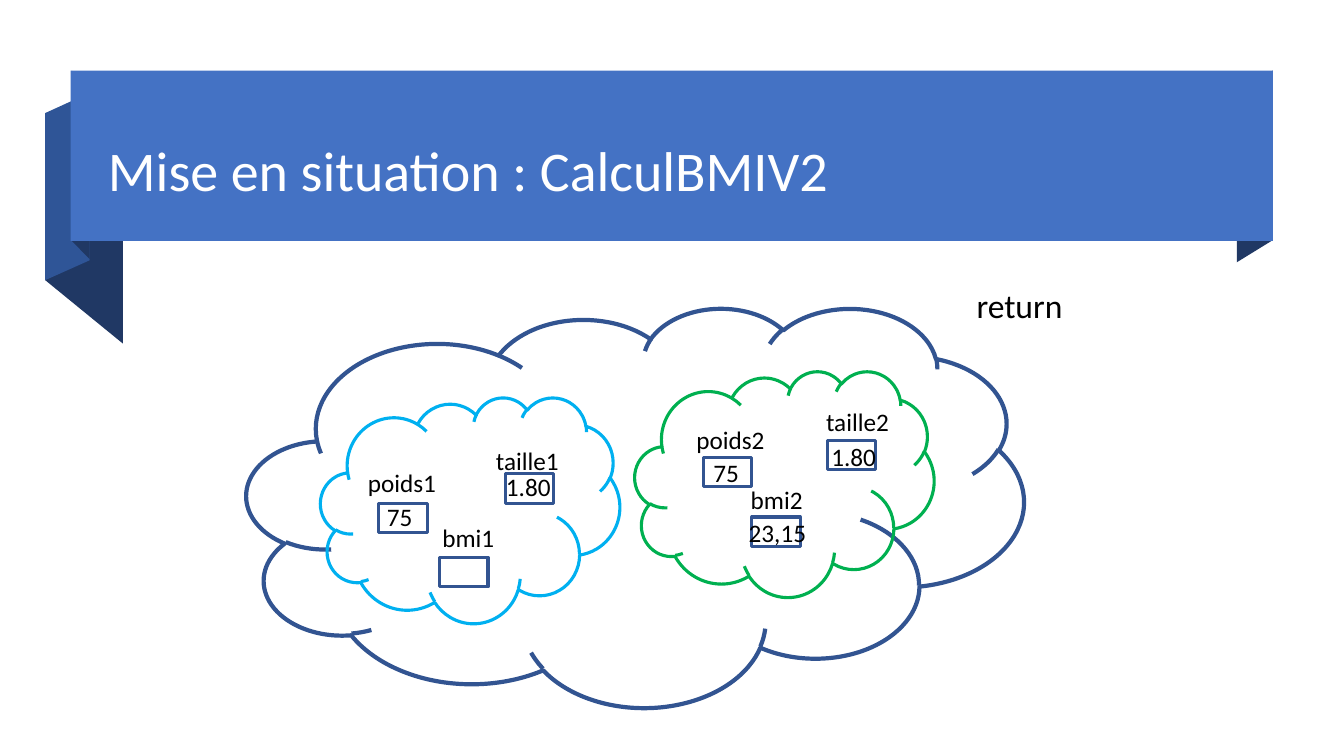
from pptx import Presentation
from pptx.dml.color import RGBColor
from pptx.enum.shapes import MSO_SHAPE
from pptx.enum.text import MSO_ANCHOR
from pptx.util import Cm, Pt

WHITE = RGBColor(0xFF, 0xFF, 0xFF)
BLACK = RGBColor(0, 0, 0)
BLUE = RGBColor(0x44, 0x72, 0xC4)
MID_BLUE = RGBColor(0x2F, 0x55, 0x97)
NAVY = RGBColor(0x20, 0x38, 0x64)
OUTLINE = RGBColor(0x32, 0x54, 0x91)
SKY = RGBColor(0x00, 0xB0, 0xF0)
GREEN = RGBColor(0x00, 0xB0, 0x50)

CELL_SIZE = (1.22, 0.74)
NAME_WIDTHS = {"poids": 2.26, "taille": 2.11, "bmi": 1.83}
VALUE_WIDTHS = {"75": 1.17, "1.80": 1.65, "23,15": 1.98}

# Name, place of the name, place of the cell, value, place of the value
FIRST_VARIABLES = [
    ("poids", (0.94, 1.63), (1.47, 2.67), "75", (1.42, 2.49)),
    ("taille", (4.17, 1.09), (4.65, 1.93), "1.80", (4.42, 1.75)),
    ("bmi", (2.82, 3.02), (3.0, 4.04), None, None),
]
SECOND_VARIABLES = [
    ("poids", (1.3, 1.22), (1.73, 2.18), "75", (1.73, 2.06)),
    ("taille", (4.57, 0.76), (4.85, 1.75), "1.80", (4.7, 1.65)),
    ("bmi", (2.67, 2.72), (2.95, 3.68), "23,15", (2.62, 3.56)),
]


def add_text(slide, box, text, size, color=BLACK, wrap=False):
    label = slide.shapes.add_textbox(*map(Cm, box))
    frame = label.text_frame
    frame.text = text
    frame.word_wrap = wrap
    font = frame.paragraphs[0].runs[0].font
    font.name, font.size, font.color.rgb = "Calibri", Pt(size), color
    return frame


def add_outline(slide, kind, box, color, width):
    shape = slide.shapes.add_shape(kind, *map(Cm, box))
    shape.shadow.inherit = False
    shape.fill.background()
    shape.line.color.rgb = color
    shape.line.width = Pt(width)


def fill_plain(shape, color):
    shape.shadow.inherit = False
    shape.fill.solid()
    shape.fill.fore_color.rgb = color
    shape.line.fill.background()


def add_title_ribbon(slide, box, title):
    left, top, width, height = box
    folds = [
        (NAVY, [(1.32, 6.88), (-0.64, 5.28), (-0.64, 1.07), (1.32, 2.67)]),
        (MID_BLUE, [(0.48, 4.78), (-0.64, 5.28), (-0.64, 1.07), (0.48, 0.56)]),
        (NAVY, [(0.48, 4.75), (0.03, 4.29), (0.03, 0), (0.48, 0.48)]),
        (NAVY, [(width, 4.27), (width - 0.91, 4.83),
                (width - 0.91, 0.53), (width, 0)]),
    ]
    # Folded ends, behind the banner
    for color, corners in folds:
        points = [(Cm(left + x), Cm(top + y)) for x, y in corners]
        builder = slide.shapes.build_freeform(*points[0])
        builder.add_line_segments(points[1:], close=True)
        fill_plain(builder.convert_to_shape(), color)

    # Banner and title
    banner = slide.shapes.add_shape(MSO_SHAPE.RECTANGLE, *map(Cm, box))
    fill_plain(banner, BLUE)
    title_box = (left + 0.69, top + 0.91, width - 1.78, height - 0.91)
    frame = add_text(slide, title_box, title, 40, WHITE, wrap=True)
    frame.vertical_anchor = MSO_ANCHOR.MIDDLE
    frame.paragraphs[0].line_spacing = 0.9


def add_person_cloud(slide, box, number, color, variables):
    left, top = box[:2]
    add_outline(slide, MSO_SHAPE.CLOUD, box, color, 2.25)
    for name, name_at, cell_at, value, value_at in variables:
        cell_box = (left + cell_at[0], top + cell_at[1], *CELL_SIZE)
        add_outline(slide, MSO_SHAPE.RECTANGLE, cell_box, OUTLINE, 2.25)
        texts = [(f"{name}{number}", name_at, NAME_WIDTHS[name])]
        if value:
            texts.append((value, value_at, VALUE_WIDTHS[value]))
        for text, (x, y), width in texts:
            add_text(slide, (left + x, top + y, width, 1.02), text, 18)


def add_memory(slide, box):
    left, top = box[:2]
    add_outline(slide, MSO_SHAPE.CLOUD, box, OUTLINE, 3)
    add_person_cloud(slide, (left + 1.86, top + 2.26, 7.54, 5.69),
                     1, SKY, FIRST_VARIABLES)
    add_person_cloud(slide, (left + 9.78, top + 1.6, 7.54, 5.69),
                     2, GREEN, SECOND_VARIABLES)
    add_text(slide, (left + 18.14, top - 0.69, 2.72, 1.27), "return", 24)


def main():
    deck = Presentation()
    deck.slide_width, deck.slide_height = Cm(33.87), Cm(19.05)
    slide = deck.slides.add_slide(deck.slide_layouts[6])
    add_title_ribbon(slide, (1.78, 1.78, 30.3, 4.29),
                     "Mise en situation : CalculBMIV2")
    add_memory(slide, (6.22, 7.75, 19.58, 10.06))
    deck.save("out.pptx")


if __name__ == "__main__":
    main()
